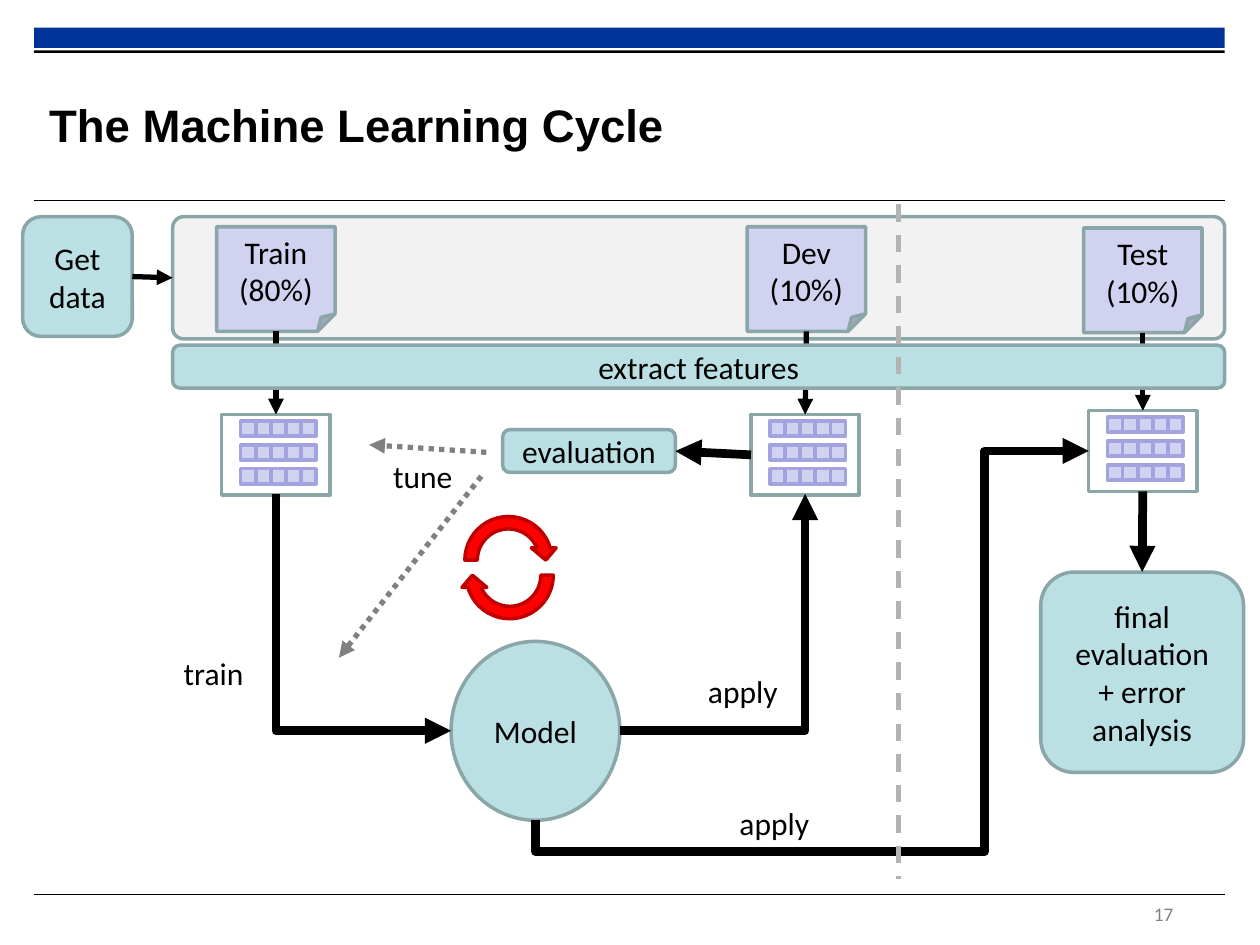
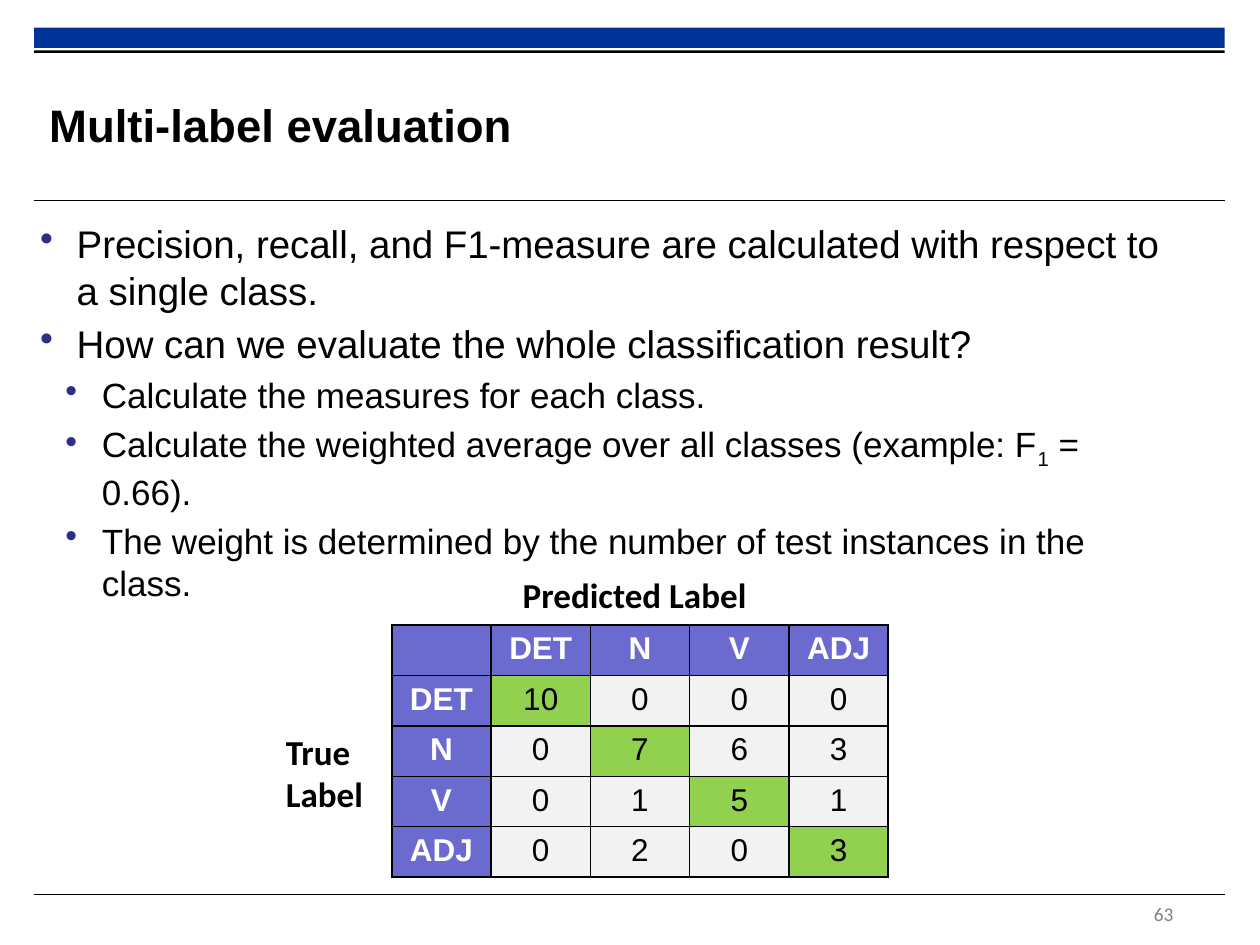
from dataclasses import dataclass
from typing import Any, NamedTuple

from lxml import etree
from pptx import Presentation
from pptx.dml.color import RGBColor
from pptx.enum.dml import MSO_LINE
from pptx.enum.shapes import MSO_CONNECTOR, MSO_SHAPE
from pptx.enum.text import MSO_ANCHOR, PP_ALIGN
from pptx.oxml.ns import qn
from pptx.util import Inches, Pt

RECT, ROUND, FOLDED = MSO_SHAPE.RECTANGLE, MSO_SHAPE.ROUNDED_RECTANGLE, MSO_SHAPE.FOLDED_CORNER
ELLIPSE, CYCLE = MSO_SHAPE.OVAL, MSO_SHAPE.CIRCULAR_ARROW
STRAIGHT, ELBOW = MSO_CONNECTOR.STRAIGHT, MSO_CONNECTOR.ELBOW
DOTTED, DASHED = MSO_LINE.ROUND_DOT, MSO_LINE.DASH
LEFT, CENTER = PP_ALIGN.LEFT, PP_ALIGN.CENTER
TOP, MIDDLE = MSO_ANCHOR.TOP, MSO_ANCHOR.MIDDLE
TOP_SIDE, LEFT_SIDE, BOTTOM_SIDE, RIGHT_SIDE = range(4)

SLIDE_WIDTH, SLIDE_HEIGHT = Inches(10), Inches(7.5)
COLUMNS, ROWS = 10, 7.5


@dataclass(frozen=True)
class Theme:
    band: str = "003399"
    ink: str = "000000"
    paper: str = "FFFFFF"
    muted: str = "808080"
    divider: str = "B3B3B3"
    step: str = "BBE0E3"
    outline: str = "8AA6A8"
    panel: str = "F2F2F2"
    split: str = "D1D1F0"
    feature: str = "A3A3E0"
    cycle: str = "FF0000"
    cycle_edge: str = "C00000"
    bullet: str = "2D2D8A"
    header: str = "6B6BCF"
    correct: str = "92D050"
    heading_font: str = "Arial"
    diagram_font: str = "Calibri"
    title_size: float = 26
    point_size: float = 22
    detail_size: float = 20
    label_size: float = 18
    number_size: float = 11


THEME = Theme()


class Box(NamedTuple):
    left: float
    top: float
    width: float
    height: float


class Spot(NamedTuple):
    x: float
    y: float


class Style(NamedTuple):
    size: float = THEME.label_size
    font: str = THEME.diagram_font
    color: str = THEME.ink
    bold: bool = False


class Split(NamedTuple):
    lines: list[str]
    page: Box
    frame: Box


class Point(NamedTuple):
    pieces: list[str]
    level: int = 0


class Arrow(NamedTuple):
    start: Spot
    end: Spot
    width: float = 5
    color: str = THEME.ink
    dash: Any = None
    head: bool = True


class Bend(NamedTuple):
    arrow: Arrow
    turn: int
    preset: str
    adjusts: tuple[int, ...] = ()


TITLE = Style(THEME.title_size, THEME.heading_font, bold=True)
NUMBER = Style(THEME.number_size, color=THEME.muted)
AXIS = Style(THEME.detail_size, bold=True)
HEADER = Style(font=THEME.heading_font, color=THEME.paper, bold=True)
COUNT = Style(font=THEME.heading_font)

SPLITS = [
    Split(["Train (80%)"], Box(1.72, 1.8, 0.94, 0.83), Box(1.76, 3.29, 0.86, 0.64)),
    Split(["Dev", "(10%)"], Box(5.93, 1.8, 0.94, 0.83), Box(5.96, 3.29, 0.86, 0.64)),
    Split(["Test", "(10%)"], Box(8.6, 1.81, 0.94, 0.83), Box(8.64, 3.26, 0.86, 0.64)),
]
BENDS = [
    Bend(Arrow(Spot(4.92, 5.8), Spot(6.39, 3.92)), 0, "bentConnector2"),
    Bend(Arrow(Spot(2.19, 3.92), Spot(3.58, 5.8)), 270, "bentConnector2"),
    Bend(Arrow(Spot(4.25, 6.51), Spot(8.64, 3.58)), 90, "bentConnector4", (-8500, 81200)),
]
LOOSE_LINES = [
    Arrow(Spot(3.86, 3.59), Spot(2.93, 3.53), 3, THEME.muted, DOTTED),
    Arrow(Spot(3.82, 3.78), Spot(2.69, 5.22), 3, THEME.muted, DOTTED),
    Arrow(Spot(7.13, 1.62), Spot(7.13, 6.98), 2.5, THEME.divider, DASHED, False),
]
LABELS = {
    "train": [Spot(1.14, 5.22)],
    "tune": [Spot(2.8, 3.66)],
    "apply": [Spot(5.34, 5.36), Spot(5.59, 6.41)],
}
POINTS = [
    Point(["Precision, recall, and F1-measure are calculated with respect to a single class."]),
    Point(["How can we evaluate the whole classification result?"]),
    Point(["Calculate the measures for each class."], 1),
    Point(["Calculate the weighted average over all classes (example: F", "1", " = 0.66)."], 1),
    Point(["The weight is determined by the number of test instances in the class."], 1),
]
CLASSES = ["DET", "N", "V", "ADJ"]
CONFUSION = [[10, 0, 0, 0], [0, 7, 6, 3], [0, 1, 5, 1], [0, 2, 0, 3]]


def across(columns: float) -> int:
    return round(SLIDE_WIDTH * columns / COLUMNS)


def down(rows: float) -> int:
    return round(SLIDE_HEIGHT * rows / ROWS)


def place(box: Box) -> tuple[int, int, int, int]:
    return across(box.left), down(box.top), across(box.width), down(box.height)


def assign(target: Any, values: dict[str, Any]) -> None:
    for name, value in values.items():
        setattr(target, name, value)


def paint(fill: Any, color: str) -> None:
    fill.solid()
    fill.fore_color.rgb = RGBColor.from_string(color)


def add_run(paragraph: Any, text: str, style: Style) -> Any:
    run = paragraph.add_run()
    run.text = text
    assign(run.font, {"size": Pt(style.size), "name": style.font, "bold": style.bold})
    run.font.color.rgb = RGBColor.from_string(style.color)
    return run


def write(frame: Any, lines: list[str], style: Style, align: Any = CENTER,
          anchor: Any = MIDDLE, margins: dict[str, int] | None = None) -> None:
    assign(frame, {"word_wrap": True, "vertical_anchor": anchor, **(margins or {})})
    for index, line in enumerate(lines):
        paragraph = frame.add_paragraph() if index else frame.paragraphs[0]
        paragraph.alignment = align
        add_run(paragraph, line, style)


def add_text(shapes: Any, box: Box, text: str, style: Style, **layout: Any) -> None:
    write(shapes.add_textbox(*place(box)).text_frame, [text], style, **layout)


def add_block(shapes: Any, preset: Any, box: Box, fill: str | None, line: str | None = THEME.outline,
              lines: list[str] | None = None) -> Any:
    block = shapes.add_shape(preset, *place(box))
    block.shadow.inherit = False
    if fill:
        paint(block.fill, fill)
    else:
        block.fill.background()
    if line:
        paint(block.line.fill, line)
        block.line.width = Pt(2)
    else:
        block.line.fill.background()
    if lines:
        write(block.text_frame, lines, Style())
    return block


def add_arrow(shapes: Any, arrow: Arrow, kind: Any = STRAIGHT) -> Any:
    connector = shapes.add_connector(kind, across(arrow.start.x), down(arrow.start.y),
                                     across(arrow.end.x), down(arrow.end.y))
    paint(connector.line.fill, arrow.color)
    assign(connector.line, {"width": Pt(arrow.width), "dash_style": arrow.dash})
    if arrow.head:
        etree.SubElement(connector.line._get_or_add_ln(), qn("a:tailEnd"), type="triangle")
    etree.SubElement(connector._element.spPr, qn("a:effectLst"))
    return connector


def join(shapes: Any, source: Any, source_side: int, target: Any, target_side: int, width: float) -> None:
    connector = add_arrow(shapes, Arrow(Spot(0, 0), Spot(1, 1), width))
    connector.begin_connect(source, source_side)
    connector.end_connect(target, target_side)


def add_bend(shapes: Any, bend: Bend) -> None:
    start, end = bend.arrow.start, bend.arrow.end
    center = Spot((start.x + end.x) / 2, (start.y + end.y) / 2)
    dx, dy = start.x - center.x, start.y - center.y
    dx, dy = {0: (dx, dy), 90: (dy, -dx), 270: (-dy, dx)}[bend.turn]
    unturned = bend.arrow._replace(start=Spot(center.x + dx, center.y + dy),
                                   end=Spot(center.x - dx, center.y - dy))
    properties = add_arrow(shapes, unturned, ELBOW)._element.spPr
    properties.find(qn("a:xfrm")).set("rot", str(bend.turn * 60000))
    geometry = properties.find(qn("a:prstGeom"))
    geometry.set("prst", bend.preset)
    for index, value in enumerate(bend.adjusts, 1):
        etree.SubElement(geometry.find(qn("a:avLst")), qn("a:gd"), name=f"adj{index}", fmla=f"val {value}")


def add_features(slide: Any, frame: Box) -> Any:
    shapes = slide.shapes.add_group_shape().shapes
    side, row_step = 0.12, 0.19
    for row in range(3):
        for column in range(5):
            cell = Box(frame.left + 0.15 + column * side, frame.top + 0.05 + row * row_step, side, side)
            add_block(shapes, RECT, cell, THEME.split, THEME.feature)
    return add_block(shapes, RECT, frame, None)


def start_slide(deck: Any, title: str, number: int) -> Any:
    slide = deck.slides.add_slide(deck.slide_layouts[6])
    add_block(slide.shapes, RECT, Box(0.27, 0.22, 9.45, 0.16), THEME.band, None)
    add_block(slide.shapes, RECT, Box(0.27, 0.4, 9.45, 0.02), THEME.ink, None)
    for rule in (1.59, 7.1):
        add_arrow(slide.shapes, Arrow(Spot(0.27, rule), Spot(9.72, rule), 0.6, head=False))
    add_text(slide.shapes, Box(9.06, 7.11, 0.55, 0.31), str(number), NUMBER, align=LEFT, anchor=TOP)
    flush = dict.fromkeys(("margin_left", "margin_top", "margin_right", "margin_bottom"), 0)
    add_text(slide.shapes, Box(0.39, 0.53, 7.11, 0.92), title, TITLE, align=LEFT, margins=flush)
    return slide


def build_cycle(deck: Any) -> None:
    slide = start_slide(deck, "The Machine Learning Cycle", 17)
    shapes = slide.shapes
    dataset = add_block(shapes, ROUND, Box(1.37, 1.72, 8.35, 0.97), THEME.panel)
    dataset.adjustments[0] = 0.09
    get_data = add_block(shapes, ROUND, Box(0.18, 1.72, 0.87, 0.95), THEME.step, lines=["Get data"])
    add_block(shapes, ELLIPSE, Box(3.58, 5.09, 1.34, 1.42), THEME.step, lines=["Model"])
    frames = []
    for split in SPLITS:
        page = add_block(shapes, FOLDED, split.page, THEME.split, lines=split.lines)
        frames.append(add_features(slide, split.frame))
        join(shapes, page, BOTTOM_SIDE, frames[-1], TOP_SIDE, 3)
    add_block(shapes, ROUND, Box(1.37, 2.74, 8.35, 0.34), THEME.step, lines=["extract features"])
    evaluation = add_block(shapes, ROUND, Box(3.99, 3.41, 1.37, 0.34), THEME.step, lines=["evaluation"])
    final = add_block(shapes, ROUND, Box(8.26, 4.54, 1.61, 1.59), THEME.step,
                      lines=["final", "evaluation", "+ error analysis"])
    _, dev, test = frames
    join(shapes, get_data, RIGHT_SIDE, dataset, LEFT_SIDE, 3)
    join(shapes, dev, LEFT_SIDE, evaluation, RIGHT_SIDE, 5)
    join(shapes, test, BOTTOM_SIDE, final, TOP_SIDE, 5)
    for turn, corner in ((0, Spot(3.64, 4.05)), (180, Spot(3.65, 4.17))):
        half_cycle = add_block(shapes, CYCLE, Box(*corner, 0.79, 0.79), THEME.cycle, THEME.cycle_edge)
        half_cycle.rotation = turn
    for bend in BENDS:
        add_bend(shapes, bend)
    for line in LOOSE_LINES:
        add_arrow(shapes, line)
    for text, corners in LABELS.items():
        for corner in corners:
            add_text(shapes, Box(*corner, 1.11, 0.24), text, Style())


def add_points(shapes: Any) -> None:
    frame = shapes.add_textbox(*place(Box(0.22, 1.7, 9.12, 2.01))).text_frame
    frame.word_wrap = True
    for index, point in enumerate(POINTS):
        paragraph = frame.add_paragraph() if index else frame.paragraphs[0]
        size = (THEME.point_size, THEME.detail_size)[point.level]
        properties = paragraph._p.get_or_add_pPr()
        properties.set("marL", str(across(0.29 + 0.2 * point.level)))
        properties.set("indent", str(-across(0.29)))
        color = etree.SubElement(properties, qn("a:buClr"))
        etree.SubElement(color, qn("a:srgbClr"), val=THEME.bullet)
        etree.SubElement(properties, qn("a:buChar"), char="•")
        assign(paragraph, {"level": point.level, "space_before": Pt(0.2 * size if index else 0)})
        for order, piece in enumerate(point.pieces):
            run = add_run(paragraph, piece, Style(size, THEME.heading_font))
            if order == 1:
                run._r.get_or_add_rPr().set("baseline", "-25000")


def add_confusion(shapes: Any) -> None:
    count = len(CLASSES) + 1
    table = shapes.add_table(count, count, *place(Box(3.11, 4.96, 3.94, 1.98))).table
    assign(table, {"first_row": False, "horz_banding": False})
    rows = [["", *CLASSES]] + [[name, *counts] for name, counts in zip(CLASSES, CONFUSION)]
    for row, values in enumerate(rows):
        for column, value in enumerate(values):
            cell = table.cell(row, column)
            heading = row == 0 or column == 0
            properties = cell._tc.get_or_add_tcPr()
            for edge in ("lnL", "lnR", "lnT", "lnB"):
                border = etree.SubElement(properties, qn(f"a:{edge}"), w=str(Pt(1)))
                ink = etree.SubElement(border, qn("a:solidFill"))
                etree.SubElement(ink, qn("a:srgbClr"), val=THEME.ink)
            paint(cell.fill, THEME.header if heading else THEME.correct if row == column else THEME.panel)
            if value != "":
                write(cell.text_frame, [str(value)], HEADER if heading else COUNT, anchor=TOP)


def build_evaluation(deck: Any) -> None:
    shapes = start_slide(deck, "Multi-label evaluation", 63).shapes
    add_points(shapes)
    add_confusion(shapes)
    for text, box in (("Predicted Label", Box(4.05, 4.49, 2.61, 0.44)), ("True Label", Box(2.17, 5.74, 0.94, 0.44))):
        add_text(shapes, box, text, AXIS, align=LEFT, anchor=TOP, margins={"margin_top": down(0.06)})


def main() -> None:
    deck = Presentation()
    assign(deck, {"slide_width": SLIDE_WIDTH, "slide_height": SLIDE_HEIGHT})
    build_cycle(deck)
    build_evaluation(deck)
    deck.save("out.pptx")


if __name__ == "__main__":
    main()
